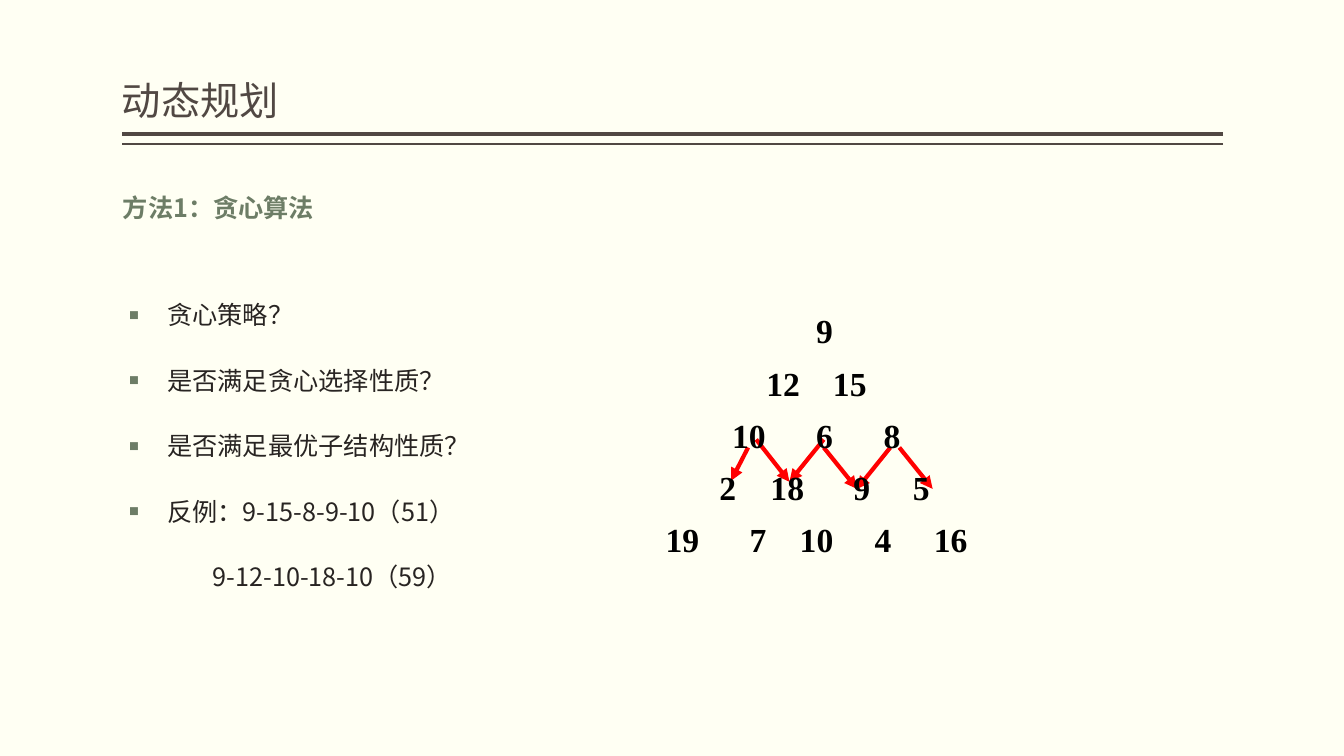
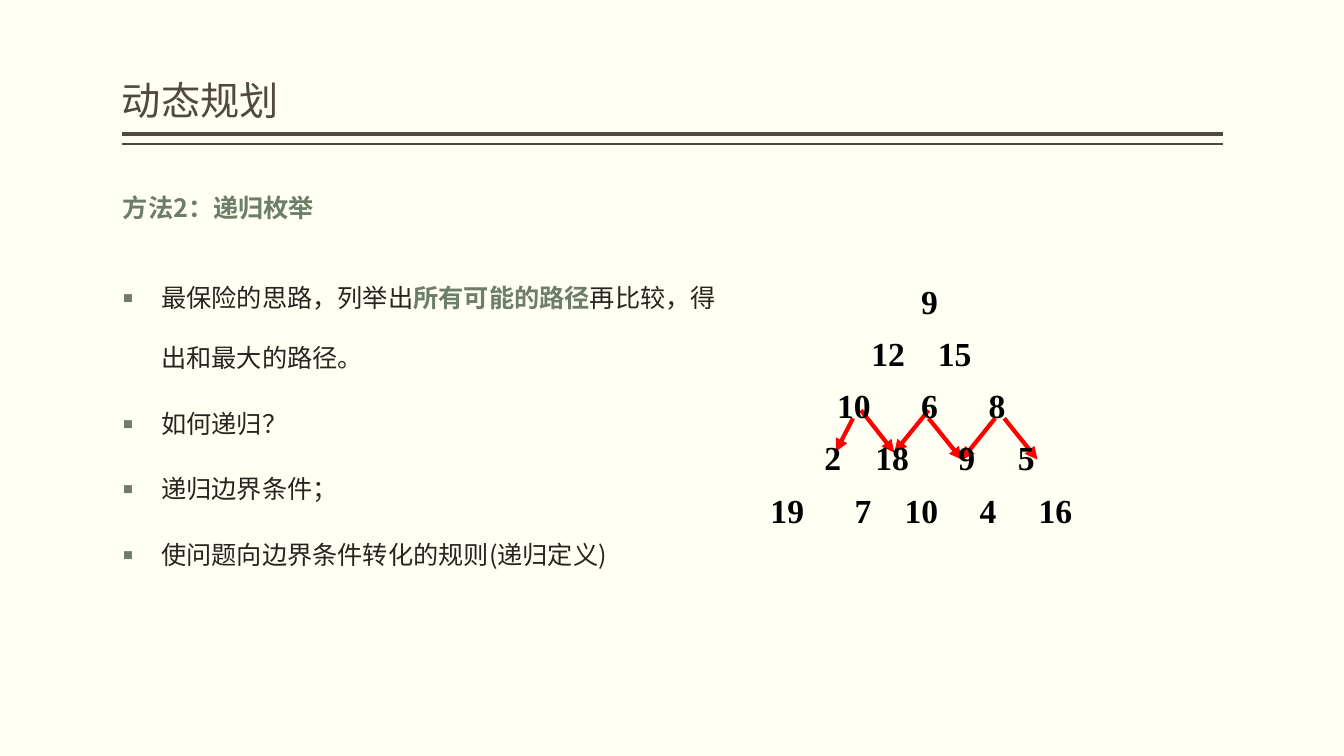
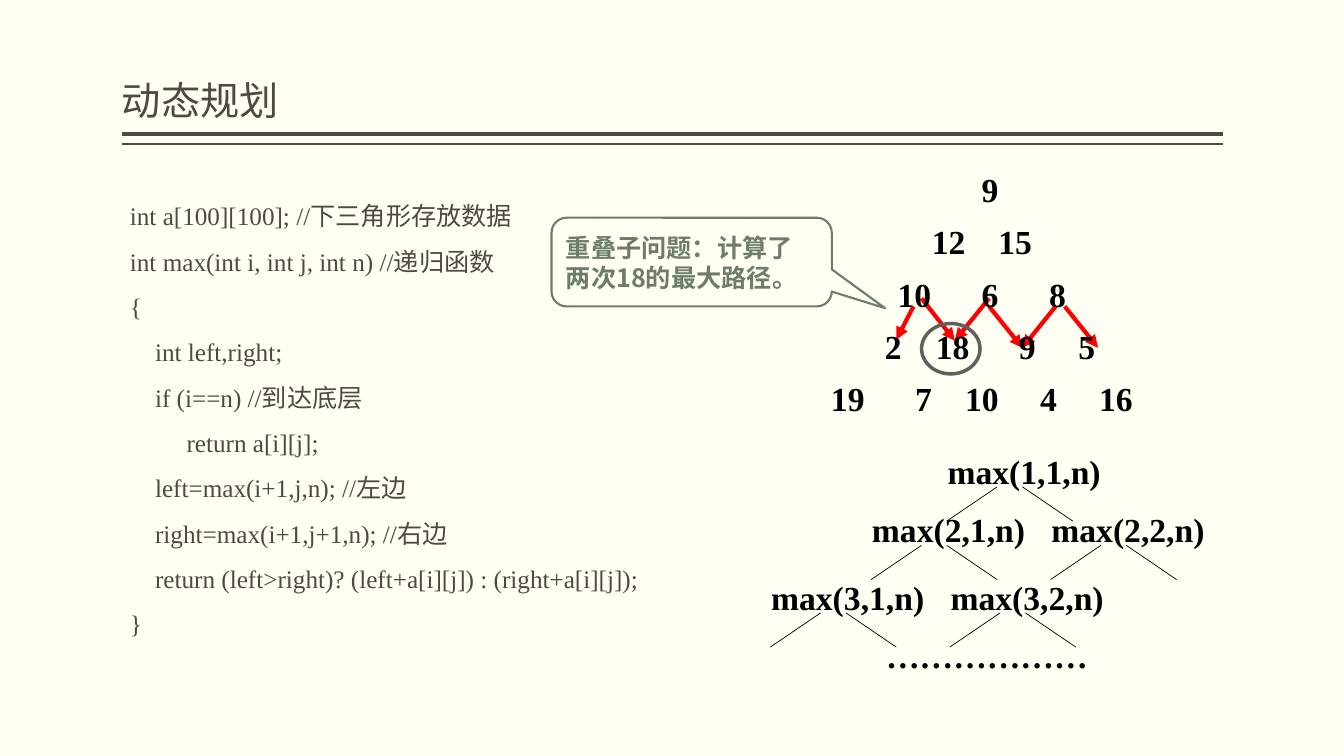
from lxml import etree
from pptx import Presentation
from pptx import util as u
from pptx.dml.color import RGBColor
from pptx.enum import shapes, text
from pptx.oxml.ns import qn

SANS, SERIF = "Noto Sans CJK SC", "Times New Roman"
PAPER, BROWN, GREEN, INK = "FFFFF3", "514843", "6D7D66", "282422"
BLACK, RED, GREY = "000000", "FF0000", "5F5F5F"

TITLE = {"size": 28, "name": SANS, "color": BROWN}
HEADING = {"size": 18, "name": SANS, "color": GREEN, "bold": True}
LIST = {"size": 18, "name": SANS, "color": INK, "bold": False}
CODE = {"size": 18, "name": SERIF, "color": BROWN}
FIGURE = {"size": 24, "name": SERIF, "color": BLACK, "bold": True}

# Each number with the centre of its column, in inches from the text edge
TRIANGLE = [
    [(9, 1.58)],
    [(12, 1.17), (15, 1.83)],
    [(10, 0.83), (6, 1.58), (8, 2.25)],
    [(2, 0.62), (18, 1.21), (9, 1.95), (5, 2.54)],
    [(19, 0.17), (7, 0.92), (10, 1.5), (4, 2.16), (16, 2.83)],
]
TRIANGLE_ARROWS = [
    (1, 1.33, 1.33, 1.75), (1.67, 1.33, 1.33, 1.75), (0.92, 1.41, 0.75, 1.74),
    (1.67, 1.41, 2, 1.82), (2.33, 1.41, 2, 1.82), (2.42, 1.41, 2.75, 1.82),
]
CALLS = [
    ("max(1,1,n)", 9.3, 4.42),
    ("max(2,1,n)", 8.55, 5), ("max(2,2,n)", 10.33, 5),
    ("max(3,1,n)", 7.55, 5.67), ("max(3,2,n)", 9.33, 5.67),
]
SOURCE_CODE = """int a[100][100]; //下三角形存放数据
int max(int i, int j, int n) //递归函数
{
    int left,right;
    if (i==n) //到达底层
         return a[i][j];
    left=max(i+1,j,n); //左边
    right=max(i+1,j+1,n); //右边
    return (left>right)? (left+a[i][j]) : (right+a[i][j]);
}"""


def rgb(value):
    return RGBColor.from_string(value)


def add_xml(parent, tag, **attributes):
    return etree.SubElement(parent, qn(tag), attributes)


def place(shape, *bounds):
    for side, value in zip(("left", "top", "width", "height"), bounds):
        setattr(shape, side, u.Inches(value))


def add_span(para, words, style):
    span = para.add_run()
    span.text = words
    for key, value in style.items():
        if key == "color":
            span.font.color.rgb = rgb(value)
        else:
            setattr(span.font, key, u.Pt(value) if key == "size" else value)
    east_asian = etree.Element(qn("a:ea"), typeface=SANS)
    span.font._element.find(qn("a:latin")).addnext(east_asian)


def add_para(frame, spans, style, line=1.0, before=0.0):
    """Add a paragraph of (words, style changes) spans, or of one string."""
    first = not frame.paragraphs[0].runs
    para = frame.paragraphs[0] if first else frame.add_paragraph()
    para.alignment = text.PP_ALIGN.LEFT
    para.line_spacing = line
    para.space_before = u.Pt(0 if first else before)
    for words, changes in [(spans, {})] if isinstance(spans, str) else spans:
        add_span(para, words, style | changes)
    return para


def set_frame(shape, anchor=text.MSO_ANCHOR.TOP):
    frame = shape.text_frame
    settings = {"word_wrap": True, "auto_size": text.MSO_AUTO_SIZE.NONE,
                "vertical_anchor": anchor}
    for key, value in settings.items():
        setattr(frame, key, value)
    return frame


def add_text(page, bounds, lines, style, line=1.0):
    box = page.shapes.add_textbox(*map(u.Inches, bounds))
    frame = set_frame(box)
    for words in lines:
        add_para(frame, words, style, line)


def add_line(page, ends, color, width, arrow=False):
    line = page.shapes.add_connector(shapes.MSO_CONNECTOR.STRAIGHT,
                                     *map(u.Inches, ends))
    line.line.color.rgb = rgb(color)
    line.line.width = u.Pt(width)
    if arrow:
        add_xml(line.line._get_or_add_ln(), "a:tailEnd", type="triangle")
    add_xml(line._element.spPr, "a:effectLst")


def add_outline(page, kind, bounds, color, width):
    shape = page.shapes.add_shape(kind, *map(u.Inches, bounds))
    shape.shadow.inherit = False
    shape.fill.background()
    shape.line.color.rgb = rgb(color)
    shape.line.width = u.Pt(width)
    return shape


def start_page(deck, layout):
    """Add a page with the shared title and the double rule under it."""
    page = deck.slides.add_slide(deck.slide_layouts.get_by_name(layout))
    title = page.shapes.title
    place(title, 1.21, 0.08, 10.92, 1.2)
    frame = set_frame(title, text.MSO_ANCHOR.BOTTOM)
    frame.margin_left = frame.margin_right = 0
    add_para(frame, "动态规划", TITLE, line=0.9)
    for y, width in ((1.33, 3), (1.43, 1)):
        add_line(page, (12.13, y, 1.21, y), BROWN, width)
    return page


def set_bullet(para):
    props = para._p.get_or_add_pPr()
    for key, value in {"marL": 0.38, "indent": -0.38}.items():
        props.set(key, str(u.Inches(value)))
    add_xml(add_xml(props, "a:buClr"), "a:srgbClr", val=GREEN)
    add_xml(props, "a:buSzPct", val="65000")
    add_xml(props, "a:buChar", char="■")


def add_list(page, left, top, items, closing=None):
    """Fill the body with bullets and an indented closing line."""
    body = page.placeholders[1]
    place(body, left, top, 6.15, 3.72)
    frame = set_frame(body)
    for item in items:
        set_bullet(add_para(frame, item, LIST, line=2.0, before=3.6))
    if closing:
        para = add_para(frame, closing, LIST, line=2.0, before=3.6)
        props = para._p.get_or_add_pPr()
        props.set("marL", str(u.Inches(0.83)))
        props.set("indent", "0")
        add_xml(props, "a:buNone")


def add_triangle(page, left, top):
    """Draw the number triangle with the arrows between rows three and four."""
    for x1, y1, x2, y2 in TRIANGLE_ARROWS:
        ends = (left + x1, top + y1, left + x2, top + y2)
        add_line(page, ends, RED, 3, arrow=True)
    box = page.shapes.add_textbox(*map(u.Inches, (left, top, 3.2, 2.58)))
    frame = set_frame(box)
    for row in TRIANGLE:
        words = "".join(f"\t{number}" for number, _ in row)
        para = add_para(frame, words, FIGURE, before=8.4)
        tabs = add_xml(para._p.get_or_add_pPr(), "a:tabLst")
        for _, centre in row:
            add_xml(tabs, "a:tab", pos=str(u.Inches(centre)), algn="ctr")


def add_call_tree(page):
    for words, left, top in CALLS:
        for start, end in ((0.59, 0.09), (0.84, 1.34)):
            ends = (left + start, top + 0.41, left + end, top + 0.75)
            add_line(page, ends, BLACK, 0.5)
        add_text(page, (left, top, 1.8, 0.5), [words], FIGURE)
    add_text(page, (8.69, 6.25, 2.4, 0.5), ["………………"], FIGURE)


def add_callout(page, bounds, words):
    callout = add_outline(page, shapes.MSO_SHAPE.ROUNDED_RECTANGULAR_CALLOUT,
                          bounds, GREEN, 1.5)
    for index, value in enumerate((0.69, 0.52, 0.17)):
        callout.adjustments[index] = value
    add_para(set_frame(callout, text.MSO_ANCHOR.MIDDLE), words, HEADING)


def add_method_page(deck, heading, list_at, items, triangle_at, closing=None):
    page = start_page(deck, "Title and Content")
    add_text(page, (1.12, 1.86, 9, 0.49), [heading], HEADING)
    add_list(page, *list_at, items, closing)
    add_triangle(page, *triangle_at)


def add_code_page(deck):
    page = start_page(deck, "Title Only")
    add_text(page, (1.19, 1.79, 5.3, 4.59), SOURCE_CODE.split("\n"), CODE, 1.5)
    add_call_tree(page)
    add_triangle(page, 8.14, 1.63)
    add_outline(page, shapes.MSO_SHAPE.OVAL, (9.14, 3.21, 0.58, 0.5), GREY, 2.5)
    add_callout(page, (5.47, 2.16, 2.78, 0.88),
                "重叠子问题：计算了两次18的最大路径。")


def main():
    deck = Presentation()
    deck.slide_width, deck.slide_height = u.Inches(13.33), u.Inches(7.5)
    background = deck.slide_master.background.fill
    background.solid()
    background.fore_color.rgb = rgb(PAPER)

    add_method_page(
        deck, "方法1：贪心算法", (1.18, 2.62),
        ["贪心策略？", "是否满足贪心选择性质？", "是否满足最优子结构性质？",
         "反例：9-15-8-9-10（51）"],
        (6.5, 3.03), closing="9-12-10-18-10（59）")
    add_method_page(
        deck, "方法2：递归枚举", (1.12, 2.45),
        [[("最保险的思路，列举出", {}),
          ("所有可能的路径", {"color": GREEN, "bold": True}),
          ("再比较，得出和最大的路径。", {})],
         "如何递归？", "递归边界条件；", "使问题向边界条件转化的规则(递归定义)"],
        (7.54, 2.74))
    add_code_page(deck)
    deck.save("out.pptx")


if __name__ == "__main__":
    main()
